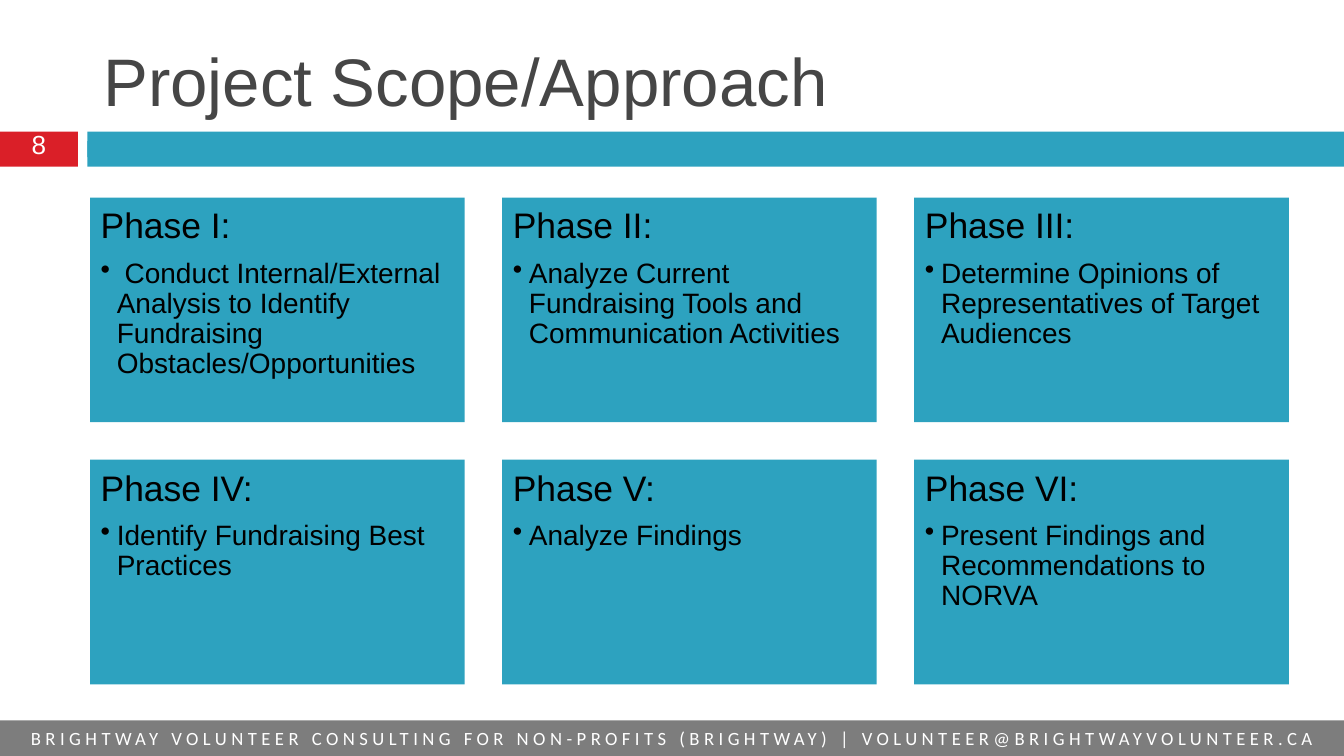
import pptx
import pptx.dml.color
import pptx.enum.shapes
import pptx.enum.text
import pptx.util
from lxml import etree

ALIGN = pptx.enum.text.PP_ALIGN
ANCHOR = pptx.enum.text.MSO_ANCHOR
RECT = pptx.enum.shapes.MSO_SHAPE.RECTANGLE
A = "{http://schemas.openxmlformats.org/drawingml/2006/main}"

TITLE = "Project Scope/Approach"
PAGE = "8"
FOOTER = ("BRIGHTWAY VOLUNTEER CONSULTING FOR NON-PROFITS (BRIGHTWAY)"
          " | VOLUNTEER@BRIGHTWAYVOLUNTEER.CA")
PHASES = [
    ("Phase I:", " Conduct Internal/External Analysis to Identify Fundraising Obstacles/Opportunities"),
    ("Phase II:", "Analyze Current Fundraising Tools and Communication Activities"),
    ("Phase III:", "Determine Opinions of Representatives of Target Audiences"),
    ("Phase IV:", "Identify Fundraising Best Practices"),
    ("Phase V:", "Analyze Findings"),
    ("Phase VI:", "Present Findings and Recommendations to NORVA"),
]

TEAL, RED, BLACK, WHITE, GREY = "2DA2BF", "DA1F28", "000000", "FFFFFF", "464646"
WIDTH = 10
HEIGHT = WIDTH * 9 / 16
BAND_TOPS, BAND_HEIGHT = (1.05, 0.98), 0.19
PAGE_WIDTH, BAND_LEFT = 0.58, 0.65
COLUMNS = 3
GRID_LEFT, GRID_TOP, GRID_WIDTH = 0.67, 1.47, 8.92
# Gaps are a tenth of a card's width, and a card is 5 wide to 3 high.
CARD_WIDTH = GRID_WIDTH / (COLUMNS + 0.1 * (COLUMNS - 1))
CARD_HEIGHT, GAP = 0.6 * CARD_WIDTH, 0.1 * CARD_WIDTH


def rgb(color):
    return pptx.dml.color.RGBColor.from_string(color)


def inches(*lengths):
    return [pptx.util.Inches(v) for v in lengths]


def add_rect(slide, box, color):
    s = slide.shapes.add_shape(RECT, *inches(*box))
    s.shadow.inherit = False
    s.fill.solid()
    s.fill.fore_color.rgb = rgb(color)
    s.line.fill.background()
    return s


def set_frame(tf, inset_x, inset_y, anchor, wrap=True):
    tf.margin_left, tf.margin_right = inches(inset_x, inset_x)
    tf.margin_top, tf.margin_bottom = inches(inset_y, inset_y)
    tf.vertical_anchor = anchor
    tf.word_wrap = wrap


def write(p, text, size, color, align=ALIGN.LEFT, font="Arial"):
    p.text = text
    p.alignment = align
    r = p.runs[0]
    r.font.size = pptx.util.Pt(size)
    r.font.name = font
    r.font.color.rgb = rgb(color)
    return r


def add_bullet(p, indent):
    pPr = p._p.get_or_add_pPr()
    pPr.set("marL", str(pptx.util.Inches(indent)))
    pPr.set("indent", str(-pptx.util.Inches(indent)))
    etree.SubElement(pPr, A + "buChar").set("char", "•")


def add_bands(slide):
    for top in BAND_TOPS:
        add_rect(slide, (BAND_LEFT, top, WIDTH - BAND_LEFT, BAND_HEIGHT), TEAL)
        s = add_rect(slide, (0, top, PAGE_WIDTH, BAND_HEIGHT), RED)
    set_frame(s.text_frame, 0, 0, ANCHOR.MIDDLE)
    write(s.text_frame.paragraphs[0], PAGE, 14, WHITE, ALIGN.CENTER)


def add_footer(slide):
    s = add_rect(slide, (0, 5.36, WIDTH, 0.27), BLACK)
    fill = s._element.spPr.find(f"{A}solidFill/{A}srgbClr")
    etree.SubElement(fill, A + "alpha").set("val", "51000")
    set_frame(s.text_frame, 0.1, 0.05, ANCHOR.TOP, wrap=False)
    r = write(s.text_frame.paragraphs[0], FOOTER, 10, WHITE, ALIGN.CENTER, "Calibri")
    r.font._element.set("spc", "240")


def add_title(slide):
    s = slide.shapes.add_textbox(*inches(GRID_LEFT, 0.19, GRID_WIDTH, 0.81))
    set_frame(s.text_frame, 0.1, 0.05, ANCHOR.MIDDLE)
    write(s.text_frame.paragraphs[0], TITLE, 36, GREY)


def add_card(slide, index, phase, task):
    row, column = divmod(index, COLUMNS)
    left = GRID_LEFT + column * (CARD_WIDTH + GAP)
    top = GRID_TOP + row * (CARD_HEIGHT + GAP)
    s = add_rect(slide, (left, top, CARD_WIDTH, CARD_HEIGHT), TEAL)
    tf = s.text_frame
    set_frame(tf, 0.08, 0.08, ANCHOR.TOP)
    heading, item = tf.paragraphs[0], tf.add_paragraph()
    write(heading, phase, 19, BLACK)
    write(item, task, 15, BLACK)
    item.level = 1
    for p, space in ((heading, 6.65), (item, 2.25)):
        p.line_spacing = 0.9
        p.space_after = pptx.util.Pt(space)
    add_bullet(item, 0.12)


def main():
    prs = pptx.Presentation()
    prs.slide_width, prs.slide_height = inches(WIDTH, HEIGHT)
    slide = prs.slides.add_slide(prs.slide_layouts[6])
    add_bands(slide)
    add_footer(slide)
    add_title(slide)
    for index, (phase, task) in enumerate(PHASES):
        add_card(slide, index, phase, task)
    prs.save("out.pptx")


if __name__ == "__main__":
    main()
